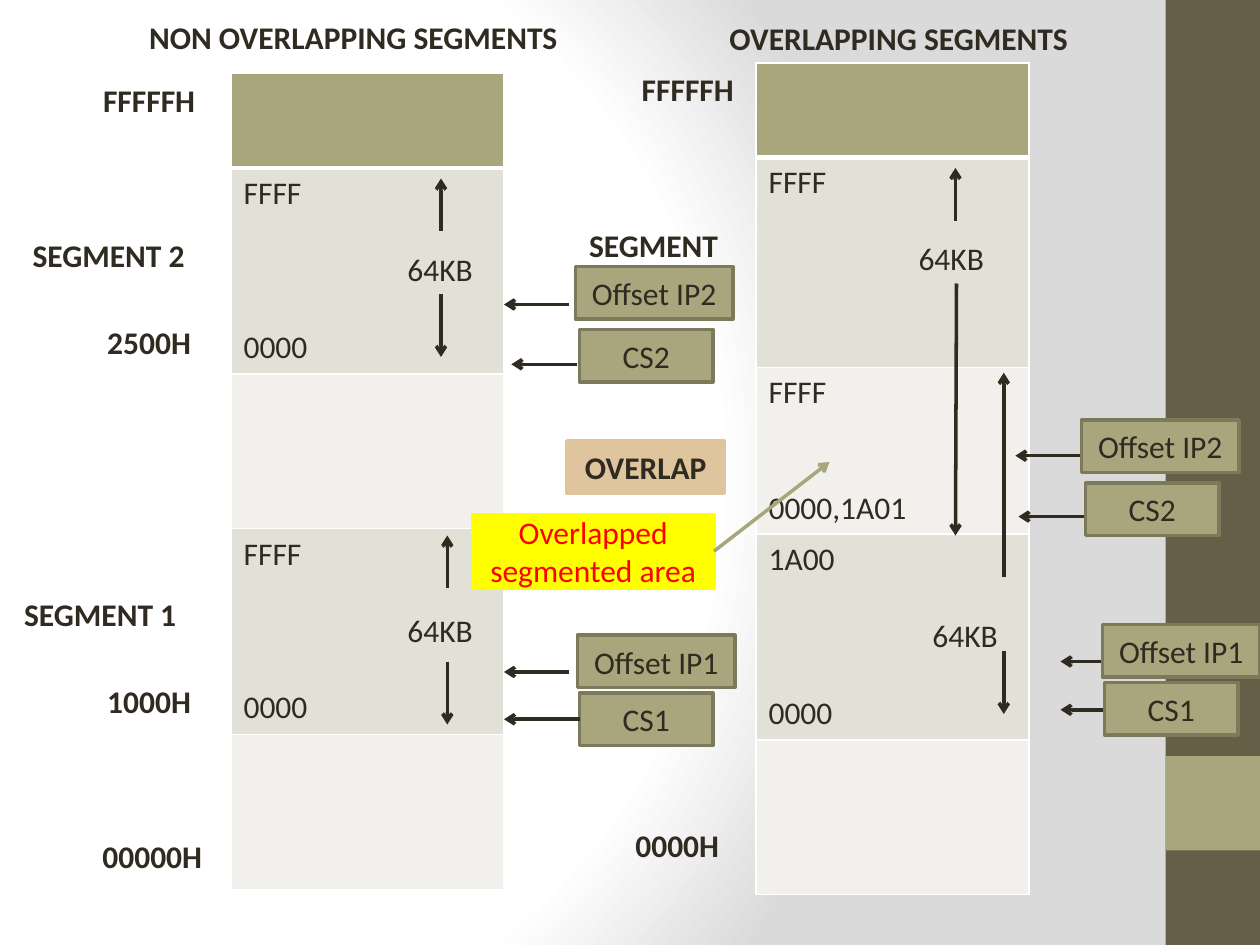
from pptx import Presentation
from pptx.dml.color import RGBColor as Rgb
from pptx.enum.shapes import MSO_CONNECTOR as Conn, MSO_SHAPE as Shape
from pptx.enum.text import MSO_ANCHOR as Anchor, PP_ALIGN as Align
from pptx.oxml import parse_xml
from pptx.oxml.ns import nsdecls, qn
from pptx.util import Inches, Pt
from lxml.etree import SubElement as Sub

HUE = {"ink": "2F2B20", "olive": "A9A57C", "edge": "7D7A5C", "brown": "675E47",
       "band": "E2E1D7", "pale": "F1F0EC", "tan": "DEC59E", "yellow": "FFFF00",
       "red": "FF0000", "white": "FFFFFF", "grey": "DADADA"}
UNIT = Inches(1) / 12  # grid of 120 columns by 90 rows

deck = Presentation()
deck.slide_width, deck.slide_height = Inches(10), Inches(7.5)
slide = deck.slides.add_slide(deck.slide_layouts[6])
shapes = slide.shapes


def write(para, text, bold=False, ink="ink", align=Align.LEFT, before=0, indent=0):
    run = para.add_run()
    run.text = text
    run.font.name, run.font.size, run.font.bold = "Calibri", Pt(18), bold
    run.font.color.rgb = Rgb.from_string(HUE[ink])
    para.alignment, para.space_before = align, Pt(before)
    para._p.get_or_add_pPr().set("marL", str(Inches(indent)))


def arrow(ends, ink="ink"):
    link = shapes.add_connector(Conn.STRAIGHT, *[round(n * UNIT) for n in ends])
    link.line.color.rgb = Rgb.from_string(HUE[ink])
    link.line.width = Pt(2)
    Sub(link.line._get_or_add_ln(), qn("a:tailEnd"), type="arrow")
    Sub(link._element.spPr, qn("a:effectLst"))
    return link


# Background: round fade from white to grey
slide.background.fill.solid()
back = slide.element.find(".//" + qn("p:bgPr"))
stops = "".join(f'<a:gs pos="{pos * 1000}"><a:srgbClr val="{HUE[hue]}"/></a:gs>'
                for pos, hue in [(0, "white"), (75, "white"), (100, "grey")])
back.replace(back[0], parse_xml(
    f'<a:gradFill rotWithShape="1" {nsdecls("a")}><a:gsLst>{stops}</a:gsLst>'
    '<a:path path="circle"><a:fillToRect l="20000" t="50000" r="100000" b="50000"/>'
    '</a:path></a:gradFill>'))

# Side stripe
for top, high, hue in [(0, 90, "brown"), (72, 9, "olive")]:
    bar = shapes.add_shape(Shape.RECTANGLE, *[round(n * UNIT) for n in (111, top, 9, high)])
    bar.shadow.inherit = False
    bar.fill.solid()
    bar.fill.fore_color.rgb = Rgb.from_string(HUE[hue])
    bar.line.fill.background()

# Memory maps: each cell line is text, space before, indent
full = [("FFFF", 0, 0), ("64KB", 22, 1.3), ("0000", 22, 0)]
maps = [
    (22, 7, [9, 19.6, 14.76, 19.6, 14.76], [[], full, [], full, []]),
    (72, 6, [9, 20, 15.84, 19.6, 14.76],
     [[], [("FFFF", 0, 0), ("64KB", 22, 1.19)],
      [("FFFF", 0, 0), ("0000,1A01", 44, 0)],
      [("1A00", 0, 0)] + full[1:], []]),
]
fills = ["olive", "band", "pale", "band", "pale"]
for left, top, highs, rows in maps:
    place = [round(n * UNIT) for n in (left, top, 26, sum(highs))]
    table = shapes.add_table(5, 1, *place).table
    for i, lines in enumerate(rows):
        table.rows[i].height = round(highs[i] * UNIT)
        cell = table.cell(i, 0)
        for side in "LRTB":
            thick = (i, side) in [(0, "B"), (1, "T")]
            rule = Sub(cell._tc.get_or_add_tcPr(), qn("a:ln" + side),
                       w=str(Pt(3 if thick else 1)))
            Sub(Sub(rule, qn("a:solidFill")), qn("a:srgbClr"), val=HUE["white"])
        cell.fill.solid()
        cell.fill.fore_color.rgb = Rgb.from_string(HUE[fills[i]])
        for j, (text, before, indent) in enumerate(lines):
            para = cell.text_frame.add_paragraph() if j else cell.text_frame.paragraphs[0]
            write(para, text, before=before, indent=indent)

# Arrows for segment size and pointers
for ends in [
    (42, 22, 42, 17), (42, 28, 42, 34), (42.6, 56, 42.6, 51), (42.6, 63, 42.6, 69),
    (55, 34.7, 48.7, 34.7), (54.2, 29, 48, 29), (54.2, 64, 48, 64),
    (91, 21, 91, 16), (91.1, 27, 91, 51), (95.6, 55, 95.6, 35.5), (95.6, 62, 95.6, 68),
    (108, 67.6, 101, 67.6), (103.3, 49.2, 97, 49.2), (103, 43.4, 96.7, 43.4),
    (107.3, 63, 101, 63),
]:
    arrow(ends)

# Labels
for text, left, top, wide in [
    ("00000H", 7, 79, 15), ("FFFFFH", 6.7, 7, 15), ("2500H", 6.7, 30.1, 15),
    ("1000H", 6.7, 64.3, 15), ("SEGMENT 2", 1, 21.8, 18.7), ("SEGMENT 1", 0.2, 56, 18.7),
    ("0000H", 57, 78, 15), ("FFFFFH", 58, 6, 15), ("SEGMENT", 52.9, 20.8, 18.7),
    ("NON OVERLAPPING SEGMENTS", 10.3, 1, 46.7), ("OVERLAPPING SEGMENTS", 62.9, 1.1, 45.4),
]:
    label = shapes.add_textbox(*[round(n * UNIT) for n in (left, top, wide, 5)])
    label.text_frame.word_wrap = True
    label.text_frame.vertical_anchor = Anchor.MIDDLE
    write(label.text_frame.paragraphs[0], text, bold=True, align=Align.CENTER)

# Register boxes and callouts
reg = ("olive", "edge", {})
boxes = {}
for text, left, top, wide, high, (fill, edge, style) in [
    ("CS2", 55.2, 31.4, 12.7, 5, reg), ("CS1", 55.2, 66, 12.7, 5, reg),
    ("Offset IP1", 55, 60.5, 15, 5, reg), ("Offset IP2", 54.8, 25.4, 15, 5, reg),
    ("CS2", 103.4, 46, 12.7, 5, reg), ("CS1", 105.2, 65, 12.7, 5, reg),
    ("Offset IP1", 105, 59.5, 15, 5, reg), ("Offset IP2", 103, 40, 15, 5, reg),
    ("OVERLAP", 54, 42, 15, 5, ("tan", "tan", {"bold": True})),
    ("Overlapped segmented area", 45, 49, 23, 7, ("yellow", "yellow", {"ink": "red"})),
]:
    box = shapes.add_shape(Shape.RECTANGLE, *[round(n * UNIT) for n in (left, top, wide, high)])
    box.shadow.inherit = False
    box.fill.solid()
    box.fill.fore_color.rgb = Rgb.from_string(HUE[fill])
    box.line.color.rgb = Rgb.from_string(HUE[edge])
    box.line.width = Pt(2)
    box.text_frame.word_wrap = True
    box.text_frame.vertical_anchor = Anchor.MIDDLE
    write(box.text_frame.paragraphs[0], text, align=Align.CENTER, **style)
    boxes.setdefault(text, box)

# Arrows joined to a box
arrow((55, 68.5, 48, 68.5)).begin_connect(boxes["CS1"], 1)
arrow((68, 52.5, 79, 44), "olive").begin_connect(boxes["Overlapped segmented area"], 3)

deck.save("out.pptx")
